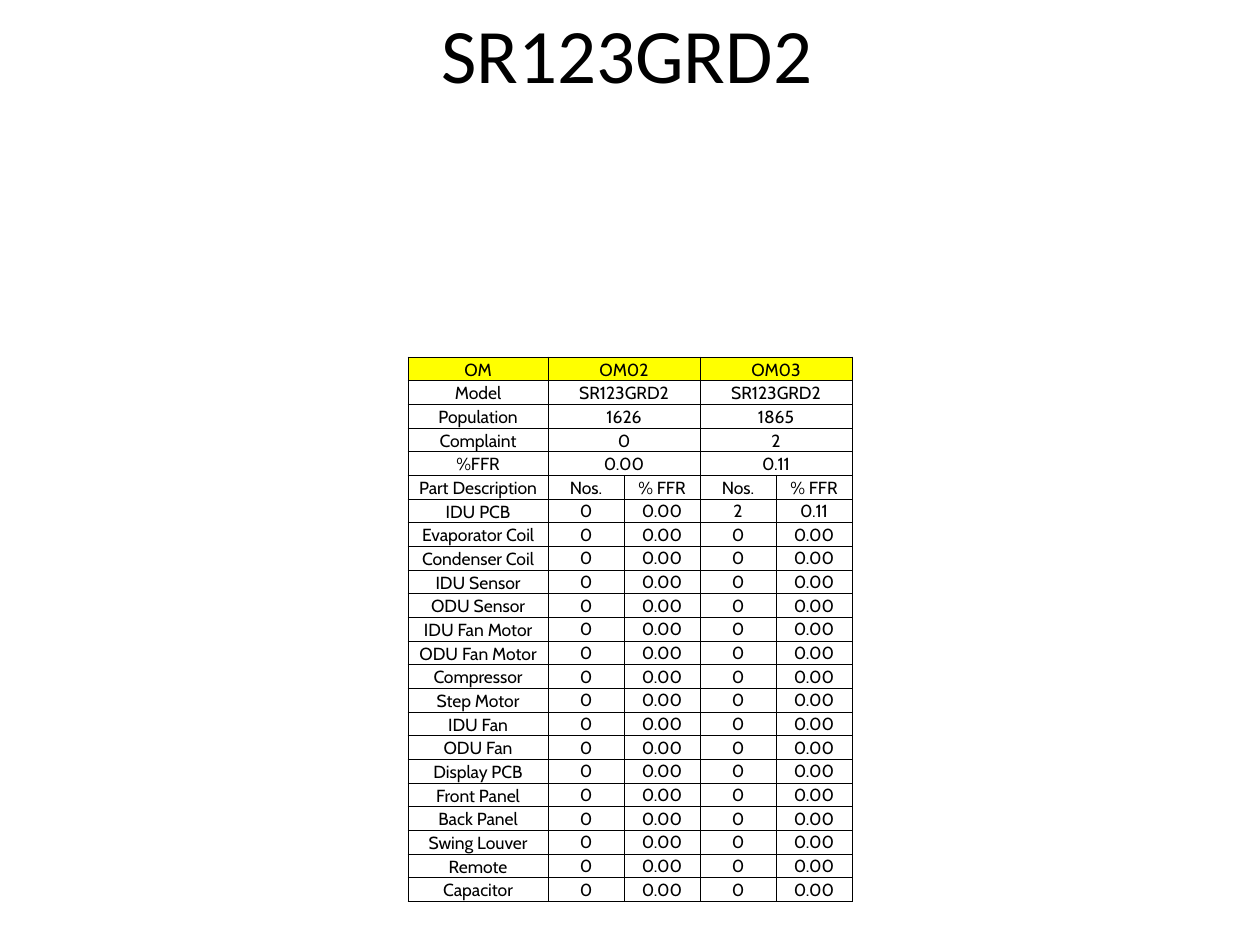
from lxml import etree
from pptx import Presentation
from pptx import util as u
from pptx.dml.color import RGBColor
from pptx.enum import text
from pptx.oxml import ns

EMU_PER_PX = 914400 // 126
BLACK, YELLOW = "000000", "FFFF00"

MODEL = "SR123GRD2"
# Each summary value spans the two columns of its OM
SUMMARY = [
    ("OM", "OM02", "OM03"),
    ("Model", MODEL, MODEL),
    ("Population", "1626", "1865"),
    ("Complaint", "0", "2"),
    ("%FFR", "0.00", "0.11"),
]
PARTS = [
    "IDU PCB", "Evaporator Coil", "Condenser Coil", "IDU Sensor", "ODU Sensor",
    "IDU Fan Motor", "ODU Fan Motor", "Compressor", "Step Motor", "IDU Fan",
    "ODU Fan", "Display PCB", "Front Panel", "Back Panel", "Swing Louver",
    "Remote", "Capacitor",
]
NO_FAILURES = ("0", "0.00", "0", "0.00")
FAILURES = {"IDU PCB": ("0", "0.00", "2", "0.11")}


def px(length):
    return u.Emu(length * EMU_PER_PX)


def colour(value):
    return RGBColor.from_string(value)


def format_para(para, font_name, size):
    para.alignment = text.PP_ALIGN.CENTER
    para.font.name = font_name
    para.font.size = u.Pt(size)
    para.font.color.rgb = colour(BLACK)


def add_title(page, words):
    title = page.shapes.title
    title.left, title.top, title.width, title.height = map(px, (60, 21, 1134, 63))
    frame = title.text_frame
    frame.text = words
    frame.auto_size = text.MSO_AUTO_SIZE.NONE
    frame.vertical_anchor = text.MSO_ANCHOR.MIDDLE
    format_para(frame.paragraphs[0], "Calibri", 44)


def add_borders(cell):
    properties = cell._tc.get_or_add_tcPr()
    for side in ("lnL", "lnR", "lnT", "lnB"):
        line = etree.SubElement(properties, ns.qn(f"a:{side}"), w=str(u.Pt(0.5)))
        fill = etree.SubElement(line, ns.qn("a:solidFill"))
        etree.SubElement(fill, ns.qn("a:srgbClr"), val=BLACK)


def format_cell(cell, words, anchor, fill=None):
    add_borders(cell)
    if fill:
        cell.fill.solid()
        cell.fill.fore_color.rgb = colour(fill)
    else:
        cell.fill.background()
    cell.margin_left = cell.margin_right = cell.margin_top = px(1)
    cell.margin_bottom = 0
    cell.vertical_anchor = anchor
    cell.text = words
    format_para(cell.text_frame.paragraphs[0], "Cabin", 10)


def add_failure_table(page):
    # Summary rows leave the second column of each pair empty for merging
    rows = [(label, first, "", second, "") for label, first, second in SUMMARY]
    rows.append(("Part Description", *("Nos.", "% FFR") * 2))
    first_part = len(rows)
    rows += [(part, *FAILURES.get(part, NO_FAILURES)) for part in PARTS]

    widths = (140, 76, 76, 76, 76)
    frame = page.shapes.add_table(len(rows), len(widths), px(408), px(357),
                                  px(sum(widths)), px(545))
    table = frame.table
    table.first_row = table.horz_banding = False
    for column, width in zip(table.columns, widths):
        column.width = px(width)

    for r, values in enumerate(rows):
        for c, words in enumerate(values):
            is_count = r >= first_part and c > 0
            anchor = text.MSO_ANCHOR.MIDDLE if is_count else text.MSO_ANCHOR.BOTTOM
            format_cell(table.cell(r, c), words, anchor, YELLOW if r == 0 else None)

    for r in range(len(SUMMARY)):
        for c in (1, 3):
            table.cell(r, c).merge(table.cell(r, c + 1))


def main():
    deck = Presentation()
    deck.slide_width, deck.slide_height = px(1260), px(945)
    page = deck.slides.add_slide(deck.slide_layouts[5])
    add_title(page, MODEL)
    add_failure_table(page)
    deck.save("out.pptx")


if __name__ == "__main__":
    main()
